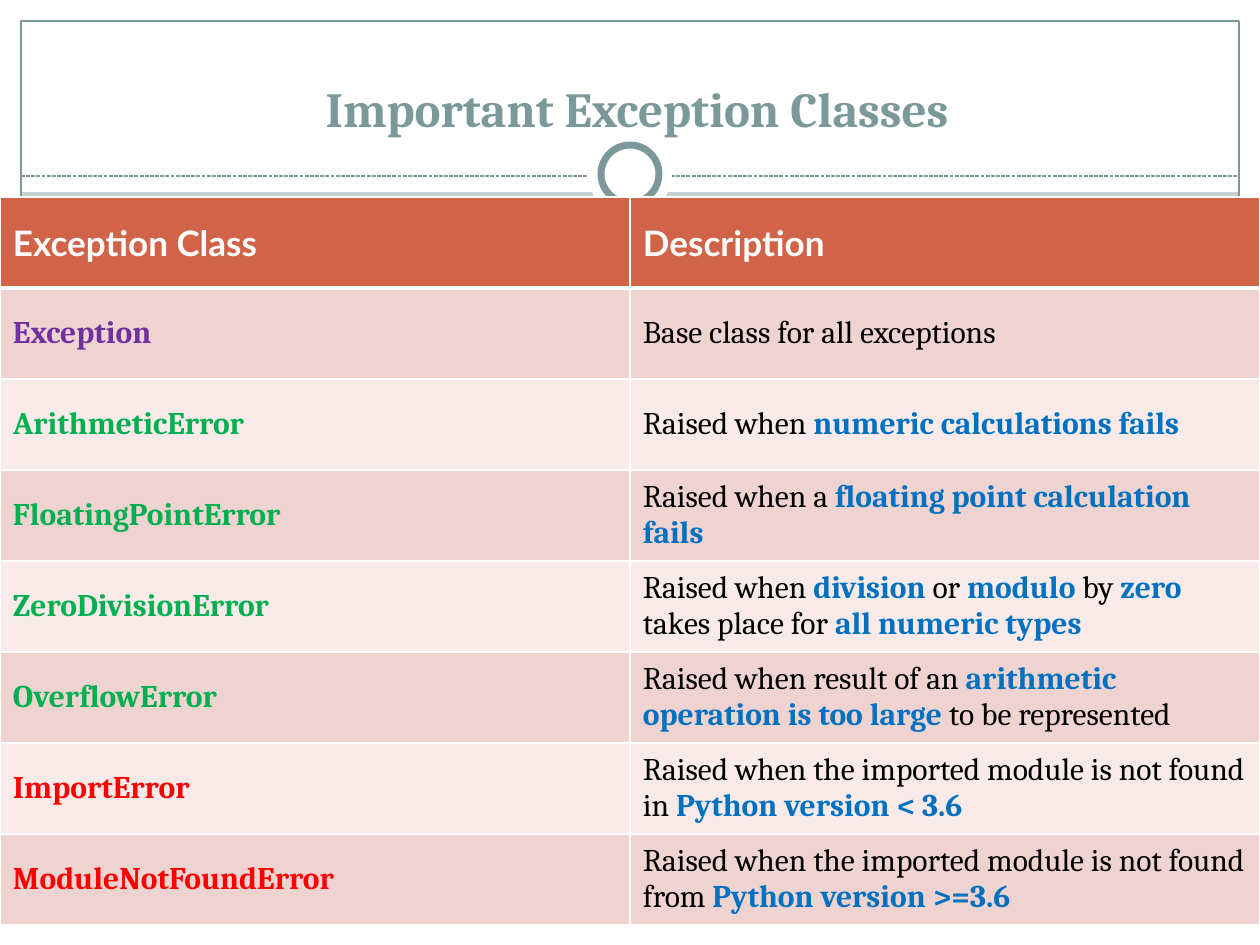
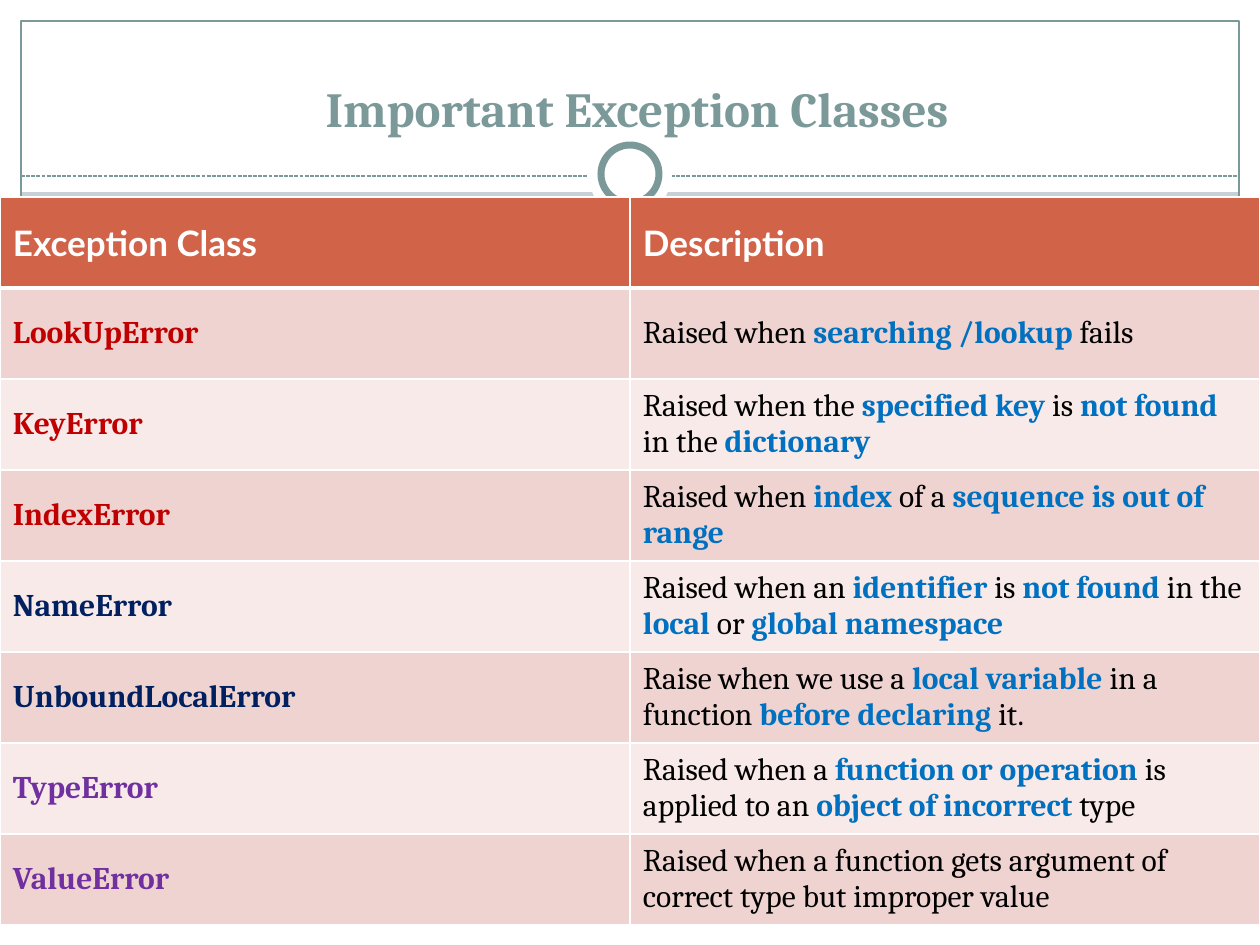
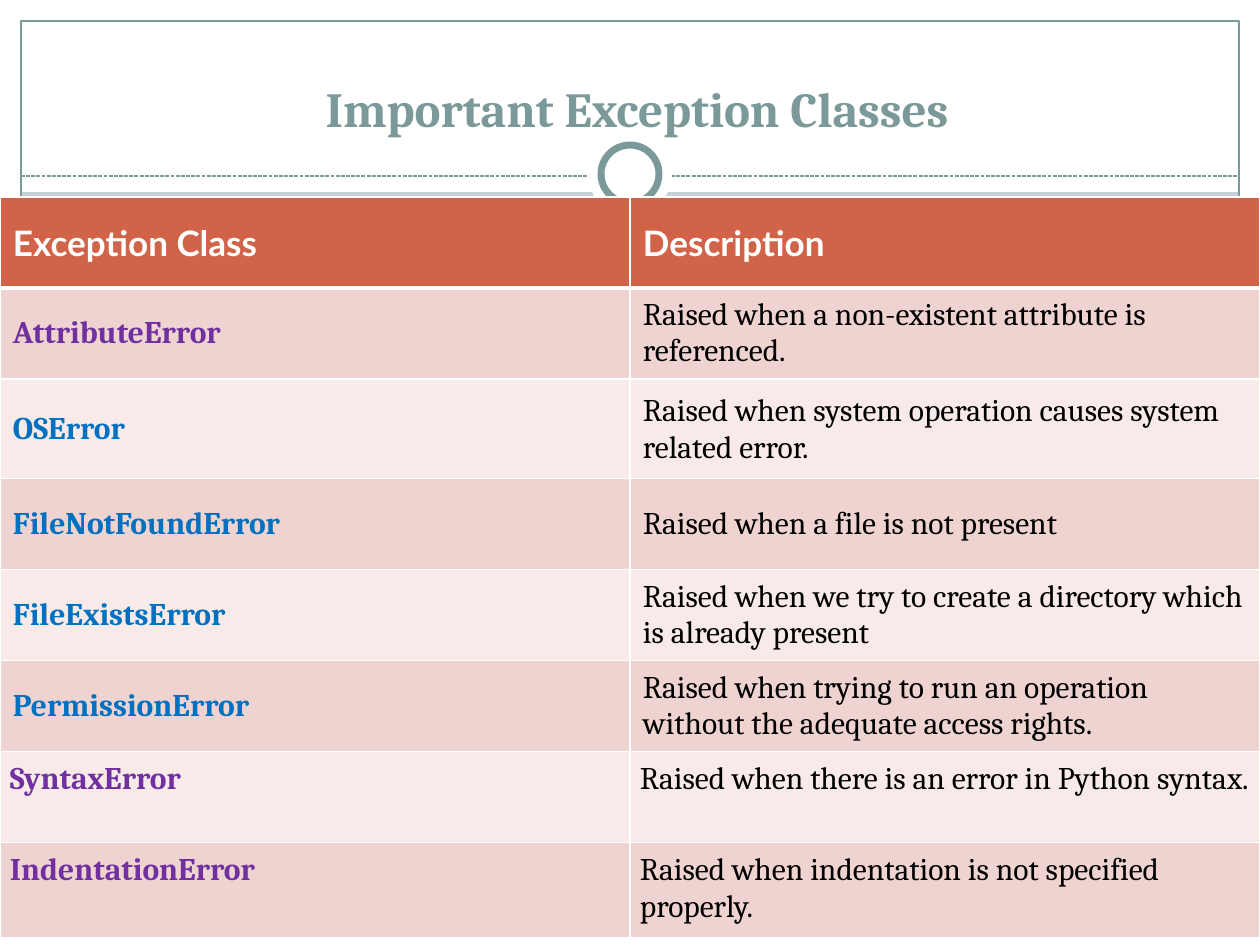
from pptx import Presentation
from pptx.dml.color import RGBColor
from pptx.enum.dml import MSO_LINE as Dash
from pptx.enum.shapes import MSO_CONNECTOR as Connector, MSO_SHAPE as Shape
from pptx.enum.text import MSO_ANCHOR as Anchor, PP_ALIGN as Align
from pptx.oxml.ns import qn
from pptx.util import Emu, Pt
from lxml.etree import SubElement

PX = 914400 / 126
WIDTH, HEIGHT = 1260, 945
MARGIN = 21
ROW_HEIGHT = 91
TITLE = "Important Exception Classes"
HEADINGS = ("Exception Class", "Description")
SERIF, SANS = "Cambria", "Lato"

COLORS = {
    "backdrop": "C5D1D7",
    "white": "FFFFFF",
    "black": "000000",
    "teal": "7C999A",
    "footer": "8CADAE",
    "header": "D16349",
    "odd": "EED3D0",
    "even": "F7EAE9",
    "purple": "7030A0",
    "green": "00B050",
    "blue": "0070C0",
    "red": "FF0000",
    "crimson": "C00000",
    "navy": "002060",
}

ARITHMETIC = [
    ("Exception", "purple", "Base class for all exceptions"),
    ("ArithmeticError", "green", "Raised when *numeric calculations fails*"),
    ("FloatingPointError", "green", "Raised when a *floating point calculation fails*"),
    ("ZeroDivisionError", "green",
     "Raised when *division* or *modulo* by *zero *takes place for *all numeric types*"),
    ("OverflowError", "green",
     "Raised when result of an *arithmetic operation is too large *to be represented"),
    ("ImportError", "red",
     "Raised when the imported module is not found in *Python version < 3.6*"),
    ("ModuleNotFoundError", "red",
     "Raised when the imported module is not found from *Python version >=3.6*"),
]
LOOKUP = [
    ("LookUpError", "crimson", "Raised when *searching /lookup *fails"),
    ("KeyError", "crimson",
     "Raised when the *specified key *is *not found *in the *dictionary*"),
    ("IndexError", "crimson", "Raised when *index* of a *sequence is out of range*"),
    ("NameError", "navy",
     "Raised when an *identifier* is *not found *in the *local* or *global namespace*"),
    ("UnboundLocalError", "navy",
     "Raise when we use a *local variable *in a function *before declaring *it."),
    ("TypeError", "purple",
     "Raised when a *function or operation *is applied to an *object of incorrect *type"),
    ("ValueError", "purple",
     "Raised when a function gets argument of correct type but improper value"),
]
SYSTEM = [
    ("AttributeError", "purple", "Raised when a non-existent attribute is referenced."),
    ("OSError", "blue", "Raised when system operation causes system related error."),
    ("FileNotFoundError", "blue", "Raised when a file is not present"),
    ("FileExistsError", "blue",
     "Raised when we try to create a directory which is already present"),
    ("PermissionError", "blue",
     "Raised when trying to run an operation without the adequate access rights."),
    ("SyntaxError", "purple", "Raised when there is an error in Python syntax."),
    ("IndentationError", "purple", "Raised when indentation is not specified properly."),
]

NORMAL = (Anchor.MIDDLE, (13, 6, 13, 6))
ROOMY = (Anchor.MIDDLE, (13, 13, 10, 11))
TOP = (Anchor.TOP, (10, 10, 10, 10))


def px(length):
    return Emu(round(length * PX))


def rgb(name):
    return RGBColor.from_string(COLORS[name])


class Deck:
    """Holds the deck style and draws elements on the current page."""

    def __init__(self):
        self.deck = Presentation()
        self.deck.slide_width, self.deck.slide_height = px(WIDTH), px(HEIGHT)
        self.page = None

    def add_page(self):
        self.page = self.deck.slides.add_slide(self.deck.slide_layouts[6])
        fill = self.page.background.fill
        fill.solid()
        fill.fore_color.rgb = rgb("backdrop")

    def shape(self, kind, left, top, width, height, fill=None, line=None, weight=0.75):
        shape = self.page.shapes.add_shape(kind, px(left), px(top), px(width), px(height))
        shape.shadow.inherit = False
        if fill:
            shape.fill.solid()
            shape.fill.fore_color.rgb = rgb(fill)
        else:
            shape.fill.background()
        if line:
            shape.line.color.rgb = rgb(line)
            shape.line.width = Pt(weight)
        else:
            shape.line.fill.background()

    def dashed_rule(self, left, right, y):
        rule = self.page.shapes.add_connector(
            Connector.STRAIGHT, px(left), px(y), px(right), px(y))
        rule.line.color.rgb = rgb("teal")
        rule.line.width = Pt(0.75)
        rule.line.dash_style = Dash.SQUARE_DOT
        SubElement(rule._element.spPr, qn("a:effectLst"))

    def frame(self):
        right = WIDTH - MARGIN
        self.shape(Shape.RECTANGLE, 0, HEIGHT - MARGIN, WIDTH, MARGIN, "white")
        self.shape(Shape.RECTANGLE, 0, 0, WIDTH, 192, "white")
        for left in (0, right):
            self.shape(Shape.RECTANGLE, left, 0, MARGIN, HEIGHT, "white")
        self.shape(Shape.RECTANGLE, 20, 881, 1217, 43, "footer")
        self.shape(Shape.RECTANGLE, MARGIN, MARGIN, right - MARGIN,
                   HEIGHT - 2 * MARGIN, line="teal")
        self.dashed_rule(MARGIN, right, 176)
        self.shape(Shape.OVAL, 588, 132, 84, 84, "white")
        self.shape(Shape.OVAL, 601, 145, 58, 58, "white", "teal", 4)

    def span(self, para, text, size, font, color, bold):
        span = para.add_run()
        span.text = text
        span.font.size = Pt(size)
        span.font.name = font
        span.font.bold = bold
        span.font.color.rgb = rgb(color)

    def title(self, text):
        box = self.page.shapes.add_textbox(px(49), px(39), px(1176), px(105))
        frame = box.text_frame
        frame.word_wrap = True
        frame.vertical_anchor = Anchor.BOTTOM
        para = frame.paragraphs[0]
        para.alignment = Align.CENTER
        self.span(para, text, 28, SERIF, "teal", True)

    def cell(self, cell, fill, layout, top=1, bottom=1):
        """Set borders, fill and margins, and return the paragraph."""
        properties = cell._tc.get_or_add_tcPr()
        for side, weight in (("L", 1), ("R", 1), ("T", top), ("B", bottom)):
            border = SubElement(properties, qn(f"a:ln{side}"), w=str(Pt(weight)))
            solid = SubElement(border, qn("a:solidFill"))
            SubElement(solid, qn("a:srgbClr"), val=COLORS["white"])
        cell.fill.solid()
        cell.fill.fore_color.rgb = rgb(fill)
        cell.vertical_anchor, margins = layout
        (cell.margin_left, cell.margin_top,
         cell.margin_right, cell.margin_bottom) = map(px, margins)
        return cell.text_frame.paragraphs[0]

    def table(self, entries, layouts):
        count = len(entries) + 1
        table = self.page.shapes.add_table(
            count, 2, 0, px(197), px(WIDTH), px(count * ROW_HEIGHT)).table
        table.horz_banding = False
        for column, heading in enumerate(HEADINGS):
            para = self.cell(table.cell(0, column), "header", NORMAL, bottom=3)
            self.span(para, heading, 20, SANS, "white", True)
        for row, (name, color, description) in enumerate(entries, 1):
            fill = "odd" if row % 2 else "even"
            name_para, text_para = (
                self.cell(table.cell(row, column), fill, layouts.get(name, NORMAL),
                          top=3 if row == 1 else 1)
                for column in range(2))
            self.span(name_para, name, 18, SERIF, color, True)
            for index, text in enumerate(description.split("*")):
                strong = index % 2 == 1
                if text:
                    self.span(text_para, text, 18, SERIF,
                              "blue" if strong else "black", strong)

    def exception_page(self, entries, layouts):
        self.add_page()
        self.frame()
        self.title(TITLE)
        self.table(entries, layouts)


def main():
    deck = Deck()
    special = {"OSError": ROOMY, "SyntaxError": TOP, "IndentationError": TOP}
    for entries in (ARITHMETIC, LOOKUP, SYSTEM):
        deck.exception_page(entries, special)
    deck.deck.save("out.pptx")


if __name__ == "__main__":
    main()
